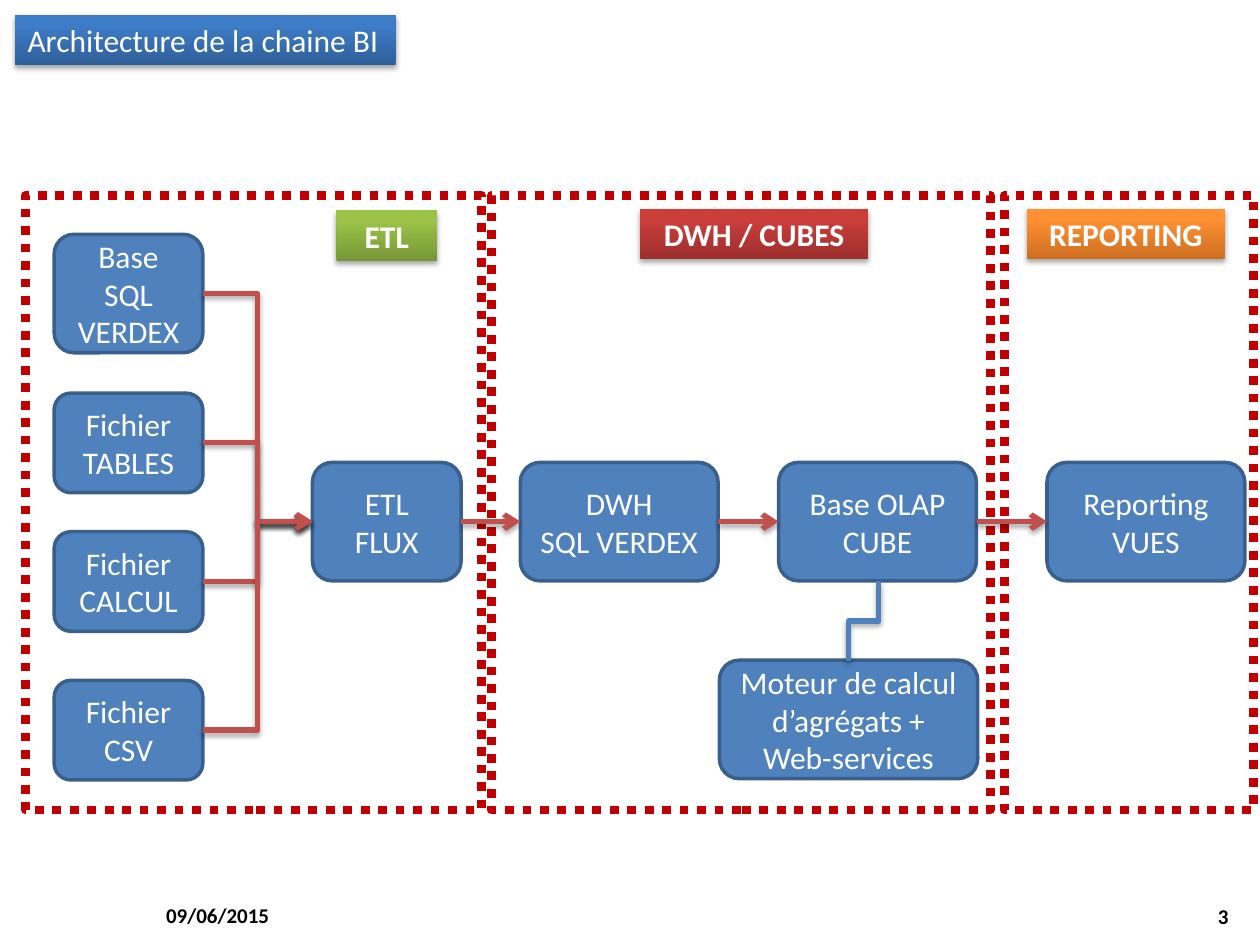
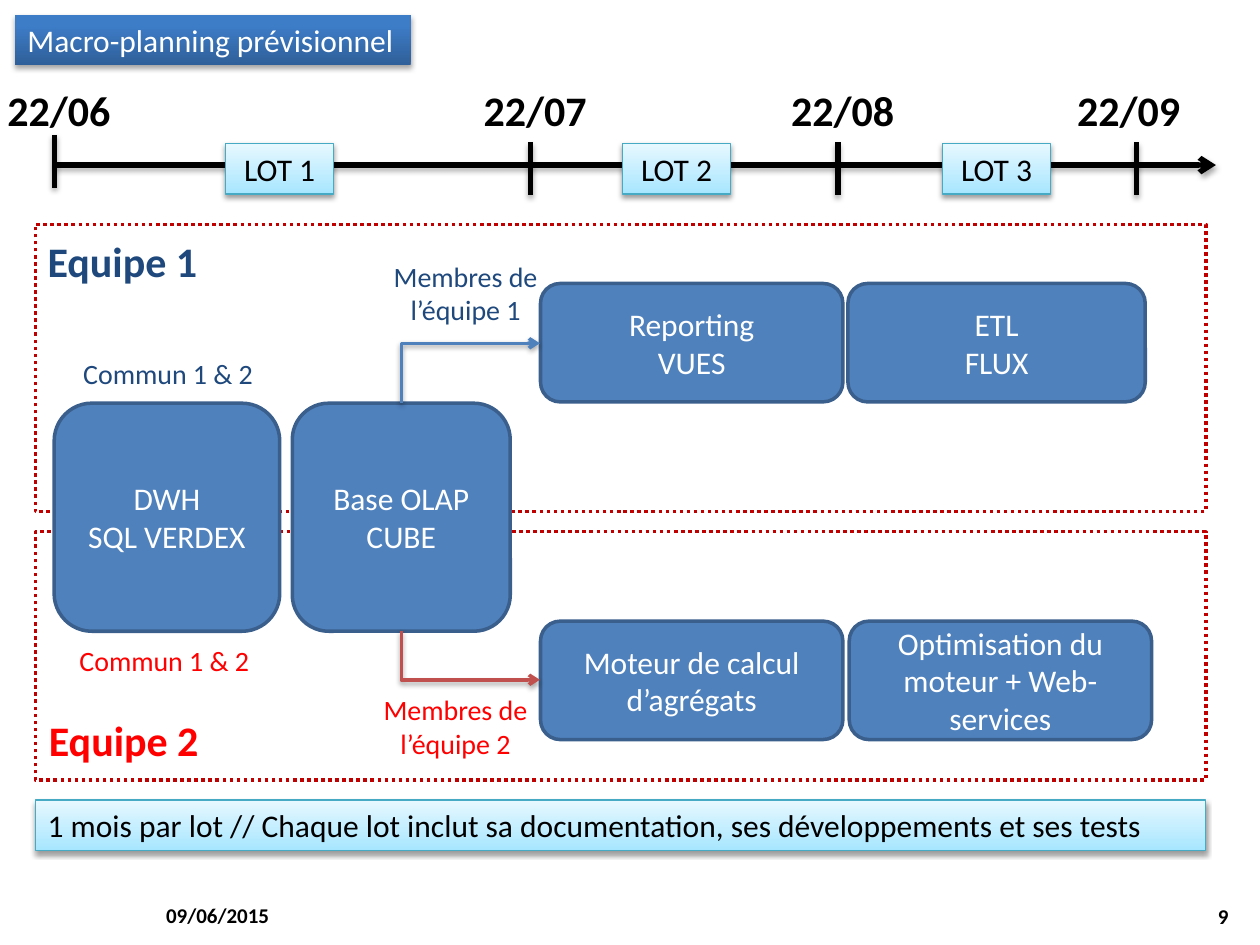
"""Build two BI project slides: chain architecture and macro planning."""
from lxml import etree
from pptx import Presentation, util as u
from pptx.dml.color import RGBColor
from pptx.enum import dml, shapes, text
from pptx.oxml import ns

INK = dict(blue="4F81BD", edge="3A5F8C", red="C0504D", dots="C00000", black="000000",
           white="FFFFFF", navy="1F497D", alert="FF0000", cyan="46AAC5")
SIZE = dict(foot=12, note=16, body=18, head=24)
MID, LEFT, RIGHT = text.PP_ALIGN.CENTER, text.PP_ALIGN.LEFT, text.PP_ALIGN.RIGHT
BAND = dict(stop=0.8, shade=35, ink="white", size="body")
TAG = dict(BAND, bold=True, align=MID)
NOTE = dict(size="note", align=MID)
HEAD = dict(size="head", bold=True)
FOOT = dict(size="foot", bold=True, anchor=text.MSO_ANCHOR.MIDDLE)
PALE = dict(grad=("A7E6FF", "E7F8FF"), stop=1, line="cyan", wide=0.75, shade=38,
            ink="black", size="body")
THEME = dict(
    title=dict(BAND, grad=("2F5F99", "3D7CC7"), wrap=False),
    green=dict(TAG, grad=("779737", "9BC348")),
    brick=dict(TAG, grad=("9C2F2D", "CB3E3A")),
    amber=dict(TAG, grad=("CC6E20", "FF9034")),
    node=dict(fill="blue", line="edge", wide=2, ink="white", size="body", round=True,
              align=MID, anchor=text.MSO_ANCHOR.MIDDLE),
    zone=dict(line="dots", wide=5, dash=True),
    team=dict(line="dots", wide=2, dash=True),
    banner=PALE, lot=dict(PALE, align=MID),
    day=dict(HEAD, ink="black"),
    head1=dict(HEAD, ink="navy"), head2=dict(HEAD, ink="alert"),
    note1=dict(NOTE, ink="navy"), note2=dict(NOTE, ink="alert"),
    date=dict(FOOT, ink="black"), page=dict(FOOT, ink="black", align=RIGHT),
)
COLS, ROWS = 100, 75
deck = Presentation()
deck.slide_width, deck.slide_height = u.Inches(10), u.Inches(7.5)
CELL = deck.slide_width / COLS


def box(page, look, at, words=""):
    fmt = THEME[look]
    kind = shapes.MSO_SHAPE.ROUNDED_RECTANGLE if fmt.get("round") else shapes.MSO_SHAPE.RECTANGLE
    item = page.shapes.add_shape(kind, *[round(v * CELL) for v in at])
    item.shadow.inherit = False
    if "grad" in fmt:
        item.fill.gradient()
        item.fill.gradient_angle = 90
        for stop, tone, pos in zip(item.fill.gradient_stops, fmt["grad"], (0, fmt["stop"])):
            stop.color.rgb, stop.position = RGBColor.from_string(tone), pos
    elif "fill" in fmt:
        item.fill.solid()
        item.fill.fore_color.rgb = RGBColor.from_string(INK[fmt["fill"]])
    else:
        item.fill.background()
    if "line" in fmt:
        item.line.color.rgb = RGBColor.from_string(INK[fmt["line"]])
        item.line.width = u.Pt(fmt["wide"])
        if fmt.get("dash"):
            item.line.dash_style = dml.MSO_LINE.ROUND_DOT
    else:
        item.line.fill.background()
    if "shade" in fmt:
        item._element.spPr.find(ns.qn("a:effectLst")).append(etree.fromstring(
            SHADE.format(fmt["shade"] * 1000)))
    if words:
        frame = item.text_frame
        frame.text = words
        frame.word_wrap = fmt.get("wrap", True)
        frame.vertical_anchor = fmt.get("anchor", text.MSO_ANCHOR.TOP)
        for par in frame.paragraphs:
            par.alignment = fmt.get("align", LEFT)
            par.font.color.rgb = RGBColor.from_string(INK[fmt["ink"]])
            face = dict(name="Calibri", size=u.Pt(SIZE[fmt["size"]]), bold=fmt.get("bold", False))
            for key, val in face.items():
                setattr(par.font, key, val)


def wire(page, at, ink, wide=3, tip=True, form="line", **turn):
    x, y, w, h = at
    ends = [round(v * CELL) for v in (x, y, x + w, y + h)]
    item = page.shapes.add_connector(shapes.MSO_CONNECTOR.STRAIGHT, *ends)
    item.line.color.rgb = RGBColor.from_string(INK[ink])
    item.line.width = u.Pt(wide)
    prop = item._element.spPr
    prop.find(ns.qn("a:prstGeom")).set("prst", form)
    for key, val in turn.items():
        prop.find(ns.qn("a:xfrm")).set(key, str(val))
    if tip:
        etree.SubElement(prop.find(ns.qn("a:ln")), ns.qn("a:tailEnd"), type="arrow")
    glow = etree.SubElement(prop, ns.qn("a:effectLst"))
    glow.append(etree.fromstring(SHADE.format(35000)))


SHADE = (f'<a:outerShdw {ns.nsdecls("a")} blurRad="{u.Pt(3.1)}" dist="{u.Pt(1.8)}" '
         'dir="5400000" rotWithShape="0"><a:srgbClr val="000000">'
         '<a:alpha val="{}"/></a:srgbClr></a:outerShdw>')
QUARTER = 90 * 60000
BAR = 4
TALL = 9.4

pages = []
for title, wide, num in (("Architecture de la chaine BI", 30.2, "3"),
                         ("Macro-planning prévisionnel", 31.4, "9")):
    page = deck.slides.add_slide(deck.slide_layouts[6])
    box(page, "date", (12.2, 70.6, 23.3, BAR), "09/06/2015")
    box(page, "page", (75.2, 70.7, 23.3, BAR), num)
    if num == "3":
        box(page, "title", (1.2, 1.2, wide, BAR), title)
    pages.append((page, title, wide))

chain = pages[0][0]
AXIS = 41.4
HUB = 24.8
SRC, SRCW = 4.3, 11.8
feeds = (("Base\nSQL VERDEX", 18.6, TALL), ("Fichier\nTABLES", 31.2, 7.9),
         ("Fichier\nCALCUL", 42.2, 7.9), ("Fichier\nCSV", 54, 7.9))
for words, top, high in feeds:
    box(chain, "node", (SRC, top, SRCW, high), words)
steps = (("ETL\nFLUX", HUB, 11.8), ("DWH\nSQL VERDEX", 41.3, 15.7),
         ("Base OLAP\nCUBE", 61.8, 15.7), ("Reporting\nVUES", 83.1, 15.7))
for words, left, wide in steps:
    box(chain, "node", (left, AXIS - TALL / 2, wide, TALL), words)
box(chain, "node", (57.1, 52.4, 20.5, TALL), "Moteur de calcul d’agrégats + Web-services")
for words, top, high in feeds:
    mid = top + high / 2
    wire(chain, (SRC + SRCW, mid, HUB - SRC - SRCW, AXIS - mid), "red", form="bentConnector3")
for left, wide in ((2, 36.2), (39, 39.6), (79.7, 19.8)):
    box(chain, "zone", (left, 15.5, wide, 48.8))
for look, words, left, top, wide in (("green", "ETL", 26.7, 16.7, 8),
                                     ("amber", "REPORTING", 81.5, 16.6, 15.7),
                                     ("brick", "DWH / CUBES", 50.8, 16.6, 18.1)):
    box(chain, look, (left, top, wide, BAR), words)
for (_, left, wide), (_, goal, _) in zip(steps, steps[1:]):
    wire(chain, (left + wide, AXIS, goal - left - wide, 0), "red")
wire(chain, (65.4, 48.1, 6.3, 2.4), "blue", tip=False, form="bentConnector3",
     rot=QUARTER, flipH=1, flipV=1)

plan, title, wide = pages[1]
EDGE, SPAN = 2.8, 92.9
for top, high in ((17.8, 22.8), (42.2, 19.7)):
    box(plan, "team", (EDGE, top, SPAN, high))
box(plan, "title", (1.2, 1.2, wide, BAR), title)
for words, left, top, wide, high in (
        ("ETL\nFLUX", 67.3, 22.5, 23.6, TALL), ("DWH\nSQL VERDEX", 4.3, 32, 17.9, 18.1),
        ("Base OLAP\nCUBE", 23.2, 32, 17.3, 18.1), ("Reporting\nVUES", 42.9, 22.5, 24, TALL),
        ("Moteur de calcul d’agrégats", 42.9, 49.3, 24, TALL),
        ("Optimisation du moteur + Web-services", 67.4, 49.3, 24, TALL)):
    box(plan, "node", (left, top, wide, high), words)
wire(plan, (4.3, 13.1, 92.2, 0), "black")
for words, left, tick, top in (("22/06", -0.4, 4.3, 10.7), ("22/07", 37.4, 42.1, 11.3),
                               ("22/08", 61.8, 66.5, 11.3), ("22/09", 84.5, 90.2, 11.3)):
    box(plan, "day", (left, 6.2, 11.2, 5), words)
    wire(plan, (tick, top, 0, 4.2), "black", tip=False)
wire(plan, (35, 24.1, 4.7, 11), "blue", 2, form="bentConnector2",
     rot=QUARTER, flipH=1, flipV=1)
wire(plan, (35.4, 46.5, 3.9, 11), "red", 2, form="bentConnector2", rot=3 * QUARTER, flipH=1)
for look, words, at in (
        ("head1", "Equipe 1", (2.8, 18.2, 36.3, 5)), ("head2", "Equipe 2", (2.9, 56.2, 36.3, 5)),
        ("note1", "Membres de l’équipe 1", (30.2, 20.1, 13.5, 6.4)),
        ("note2", "Membres de l’équipe 2", (29.4, 54.5, 13.5, 6.4)),
        ("note1", "Commun 1 & 2", (5.5, 27.8, 15.7, 3.7)),
        ("note2", "Commun 1 & 2", (5.2, 50.6, 15.7, 3.7))):
    box(plan, look, at, words)
box(plan, "banner", (EDGE, 63.5, SPAN, BAR),
    "1 mois par lot // Chaque lot inclut sa documentation, ses développements et ses tests")
for num, left in enumerate((17.9, 49.4, 74.8), 1):
    box(plan, "lot", (left, 11.4, 8.6, BAR), f"LOT {num}")

deck.save("out.pptx")
